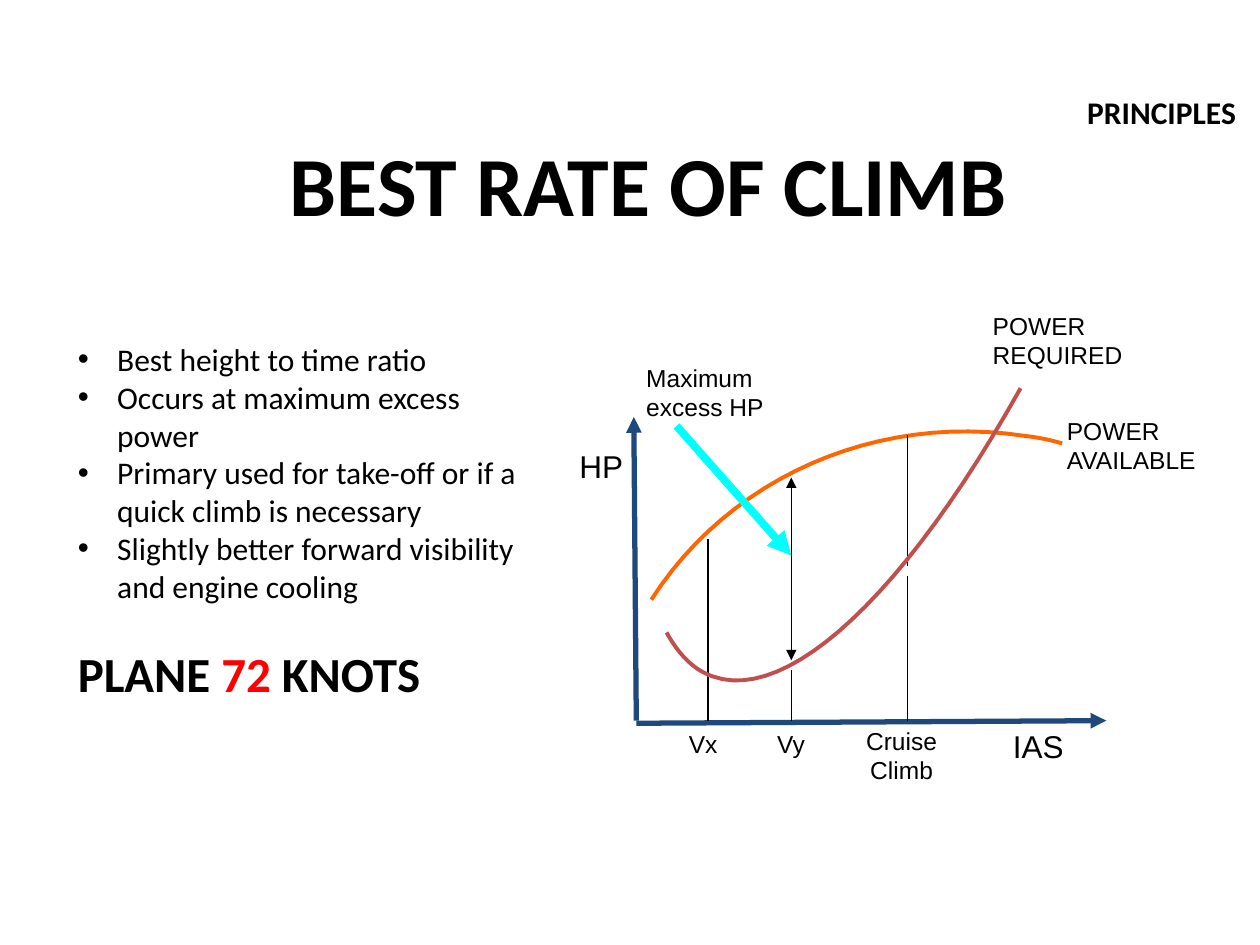
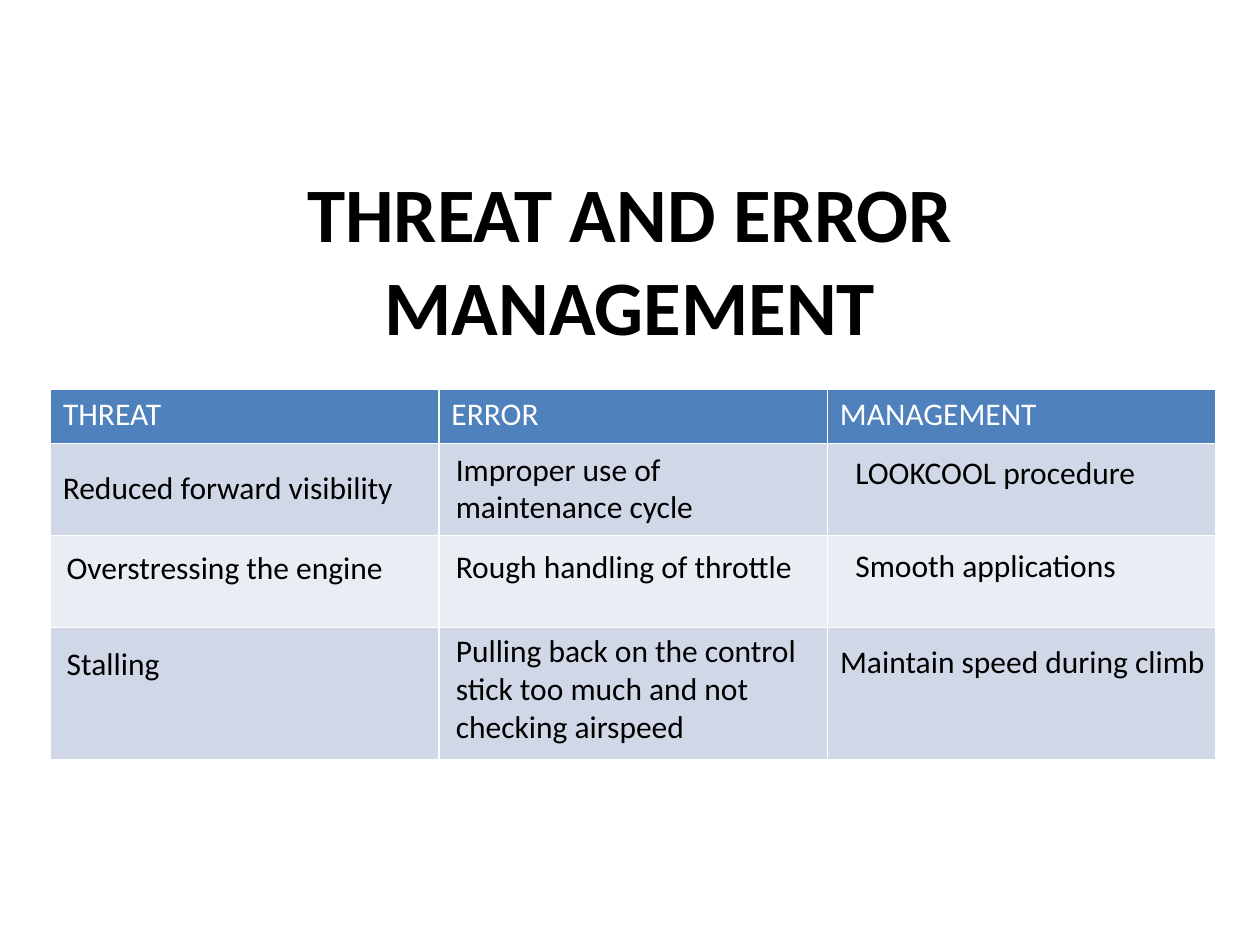
from lxml.etree import SubElement
from pptx import Presentation
from pptx.dml.color import RGBColor
from pptx.enum.shapes import MSO_CONNECTOR
from pptx.enum.text import MSO_ANCHOR, MSO_AUTO_SIZE, PP_ALIGN
from pptx.oxml.ns import qn
from pptx.util import Pt

BLACK, WHITE, RED = "000000", "FFFFFF", "FF0000"
NAVY, CYAN, ORANGE, BRICK = "1F497D", "00FFFF", "FF6600", "C0504D"
HEADER_BLUE, BAND_DARK, BAND_LIGHT = "4F81BD", "D0D8E8", "E9EDF4"

CLIMB_TITLE = ("BEST RATE OF CLIMB", (131.8, 72, 477.4, 65.5), 48)
SECTION = ("PRINCIPLES", (614.2, 49.7, 105.8, 28.8))
ADVANTAGES = [
    "Best height to time ratio",
    "Occurs at maximum excess power",
    "Primary used for take-off or if a quick climb is necessary",
    "Slightly better forward visibility and engine cooling",
]
ADVANTAGES_BOX = (37.4, 190.8, 278.6, 216)
CLIMB_SPEED = [("PLANE ", BLACK), ("72", RED), (" KNOTS", BLACK)]

POWER_AVAILABLE = [
    (607, 253.4), (599.8, 251.3), (592.6, 249.9), (585.4, 249.1),
    (500.4, 236.2), (416.9, 272.9), (372.2, 342.7),
]
POWER_REQUIRED = [
    (583.2, 221.8), (517.7, 339.1), (450.7, 401.8), (407.5, 386.6),
    (396.7, 383), (388.1, 374.4), (380.9, 361.4),
]
AXES = [((363.6, 411.8), (362.2, 238.3)), ((363.6, 413.3), (632.2, 411.8))]
VX, VY, CRUISE, BASELINE = 404.6, 452.2, 518.4, 411.8
EXCESS_POWER = ((VY, 272.9), (VY, 377.3))
SPEED_MARKS = [
    (VY, 383, BASELINE), (VX, 308.2, 387.4), (VX, 387.4, BASELINE),
    (CRUISE, 248.4, 323.3), (CRUISE, 329, BASELINE),
]
EXCESS_POINTER = ((386.6, 243.4), (VY, 317.5))
GRAPH_LABELS = [
    ("Vx", (386.6, 413.3, 55.4, 40.3)),
    ("Vy", (437, 413.3, 62.6, 47.5)),
    ("POWER AVAILABLE", (602.6, 234, 108, 41)),
    ("POWER REQUIRED", (560.2, 174.2, 110.2, 41)),
    ("Maximum excess HP", (362.2, 203.8, 103, 41)),
]
CRUISE_LABEL = ("Cruise Climb", (470.2, 411.1, 90, 38.2))
AXIS_LABELS = [("IAS", (571.7, 411.8, 43.2, 28.8)), ("HP", (324, 252, 39.6, 28.8))]

TEM_TITLE = ("THREAT AND ERROR MANAGEMENT", (41.8, 90.7, 636.5, 113.8), 44)
TEM_HEADERS = ["THREAT", "ERROR", "MANAGEMENT"]
TABLE_LEFT, TABLE_TOP, COLUMN_WIDTH = 28.8, 222.5, 222
ROW_HEIGHTS = [31, 52.6, 52.6, 75.6]
ROW_FILLS = [HEADER_BLUE, BAND_DARK, BAND_LIGHT, BAND_DARK]
TEM_ENTRIES = [
    ("Reduced forward visibility", (28.8, 264.2, 205.2, 28.8), False),
    ("Improper use of maintenance cycle", (253.4, 253.4, 189.4, 51), True),
    ("LOOKCOOL procedure", (481.7, 255.6, 176.4, 28.8), False),
    ("Overstressing the engine", (31, 309.6, 197.3, 28.8), False),
    ("Rough handling of throttle", (253.4, 308.9, 209.5, 28.8), False),
    ("Smooth applications", (481.7, 308.2, 193, 28.8), True),
    ("Stalling", (31, 364.3, 68.4, 28.8), False),
    ("Pulling back on the control stick too much and not checking airspeed",
     (253.4, 357.1, 221, 72.7), True),
    ("Maintain speed during climb", (473, 363.6, 225.4, 28.8), False),
]


def rgb(color):
    return RGBColor.from_string(color)


def points(values):
    return [Pt(value) for value in values]


def style(paragraph, size, face="Calibri", color=BLACK, bold=False):
    font = paragraph.font
    font.size, font.name, font.bold = Pt(size), face, bold
    font.color.rgb = rgb(color)


def add_title_slide(prs, text, box, size):
    slide = prs.slides.add_slide(prs.slide_layouts[5])
    title = slide.shapes.title
    title.left, title.top, title.width, title.height = points(box)
    frame = title.text_frame
    frame.text = text
    frame.vertical_anchor = MSO_ANCHOR.MIDDLE
    frame.auto_size = MSO_AUTO_SIZE.NONE
    frame.paragraphs[0].alignment = PP_ALIGN.CENTER
    style(frame.paragraphs[0], size, bold=True)
    return slide


def add_text(slide, text, box, size=18, face="Calibri", bold=False, wrap=True, align=PP_ALIGN.LEFT):
    frame = slide.shapes.add_textbox(*points(box)).text_frame
    frame.word_wrap = wrap
    paragraph = frame.paragraphs[0]
    paragraph.text = text
    paragraph.alignment = align
    style(paragraph, size, face, bold=bold)


def add_line(slide, start, end, color=BLACK, width=0.75, arrows=()):
    line = slide.shapes.add_connector(MSO_CONNECTOR.STRAIGHT, *points(start + end))
    line.line.color.rgb = rgb(color)
    line.line.width = Pt(width)
    for arrow in arrows:
        SubElement(line.line._get_or_add_ln(), qn(f"a:{arrow}"), type="triangle")
    SubElement(line._element.spPr, qn("a:effectLst"))


def bezier(a, b, c, d, t):
    s = 1 - t
    return tuple(
        Pt(s**3 * p + 3 * s * s * t * q + 3 * s * t * t * r + t**3 * u)
        for p, q, r, u in zip(a, b, c, d)
    )


def add_curve(slide, controls, color, steps=24):
    vertices = [
        bezier(*controls[first:first + 4], step / steps)
        for first in range(0, len(controls) - 1, 3)
        for step in range(1, steps + 1)
    ]
    builder = slide.shapes.build_freeform(*points(controls[0]))
    builder.add_line_segments(vertices, close=False)
    curve = builder.convert_to_shape()
    curve.shadow.inherit = False
    curve.fill.background()
    curve.line.color.rgb = rgb(color)
    curve.line.width = Pt(2.25)


def add_advantages(slide):
    frame = slide.shapes.add_textbox(*points(ADVANTAGES_BOX)).text_frame
    frame.word_wrap = True
    for index, advantage in enumerate(ADVANTAGES):
        paragraph = frame.add_paragraph() if index else frame.paragraphs[0]
        paragraph.text = advantage
        properties = paragraph._p.get_or_add_pPr()
        properties.set("marL", str(Pt(22.5)))
        properties.set("indent", str(Pt(-22.5)))
        SubElement(properties, qn("a:buFont"), typeface="Arial")
        SubElement(properties, qn("a:buChar"), char="•")
        style(paragraph, 18)
    speed = frame.add_paragraph()
    speed.space_before = Pt(22)
    style(speed, 28, bold=True)
    for text, color in CLIMB_SPEED:
        run = speed.add_run()
        run.text = text
        run.font.color.rgb = rgb(color)


def add_power_graph(slide):
    add_curve(slide, POWER_AVAILABLE, ORANGE)
    for start, end in AXES:
        add_line(slide, start, end, NAVY, 3, ["tailEnd"])
    add_line(slide, *EXCESS_POWER, arrows=["headEnd", "tailEnd"])
    for speed, top, bottom in SPEED_MARKS:
        add_line(slide, (speed, top), (speed, bottom))
    for text, box in GRAPH_LABELS:
        add_text(slide, text, box, 14, "Arial")
    add_text(slide, *CRUISE_LABEL, 14, "Arial", align=PP_ALIGN.CENTER)
    add_line(slide, *EXCESS_POINTER, CYAN, 4.5, ["tailEnd"])
    for text, box in AXIS_LABELS:
        add_text(slide, text, box, 18, "Arial", wrap=False)
    add_curve(slide, POWER_REQUIRED, BRICK)


def add_tem_table(slide):
    columns = len(TEM_HEADERS)
    area = (TABLE_LEFT, TABLE_TOP, COLUMN_WIDTH * columns, sum(ROW_HEIGHTS))
    table = slide.shapes.add_table(len(ROW_HEIGHTS), columns, *points(area)).table
    for row, height, fill in zip(table.rows, ROW_HEIGHTS, ROW_FILLS):
        row.height = Pt(height)
        for cell in row.cells:
            cell.fill.solid()
            cell.fill.fore_color.rgb = rgb(fill)
    for column, header in enumerate(TEM_HEADERS):
        cell = table.cell(0, column)
        cell.text = header
        style(cell.text_frame.paragraphs[0], 18, color=WHITE)
    for text, box, wrap in TEM_ENTRIES:
        add_text(slide, text, box, wrap=wrap)


def main():
    prs = Presentation()
    prs.slide_width, prs.slide_height = Pt(720), Pt(540)
    climb = add_title_slide(prs, *CLIMB_TITLE)
    add_advantages(climb)
    add_text(climb, *SECTION, bold=True)
    add_power_graph(climb)
    add_tem_table(add_title_slide(prs, *TEM_TITLE))
    prs.save("out.pptx")


if __name__ == "__main__":
    main()
